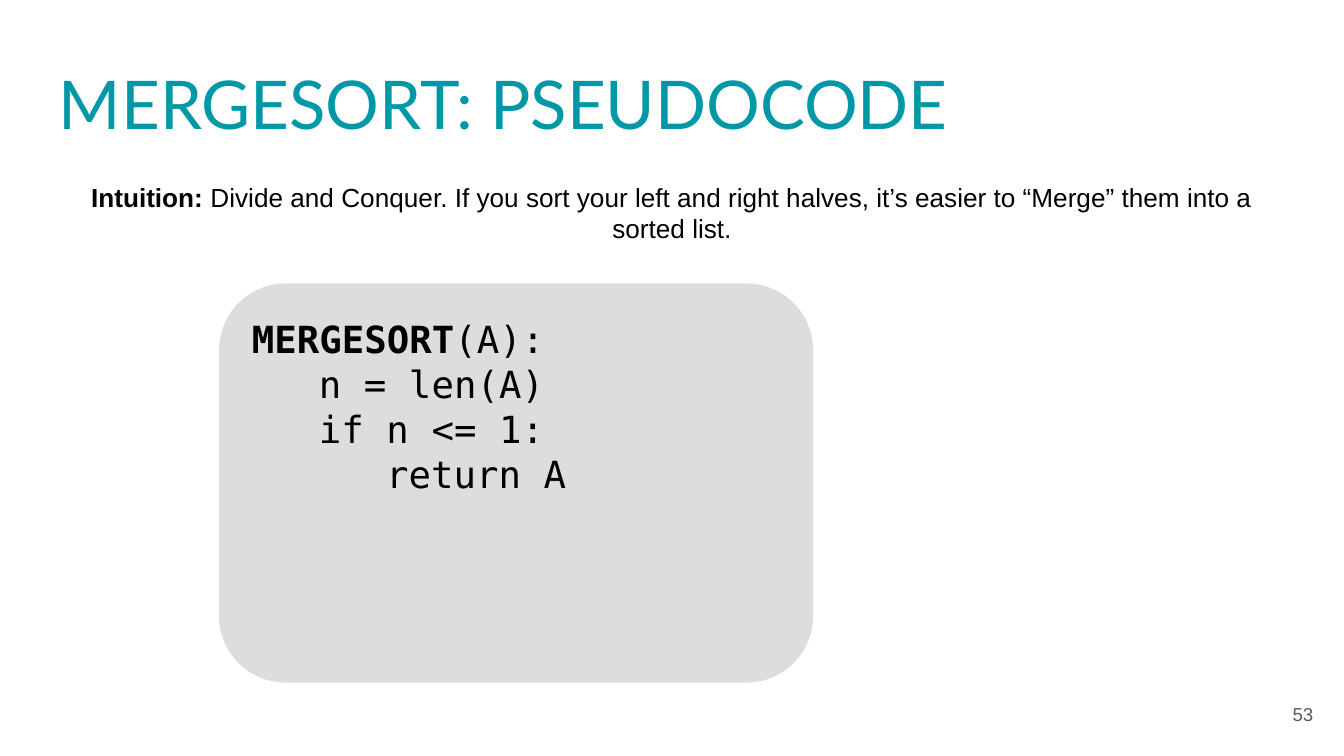
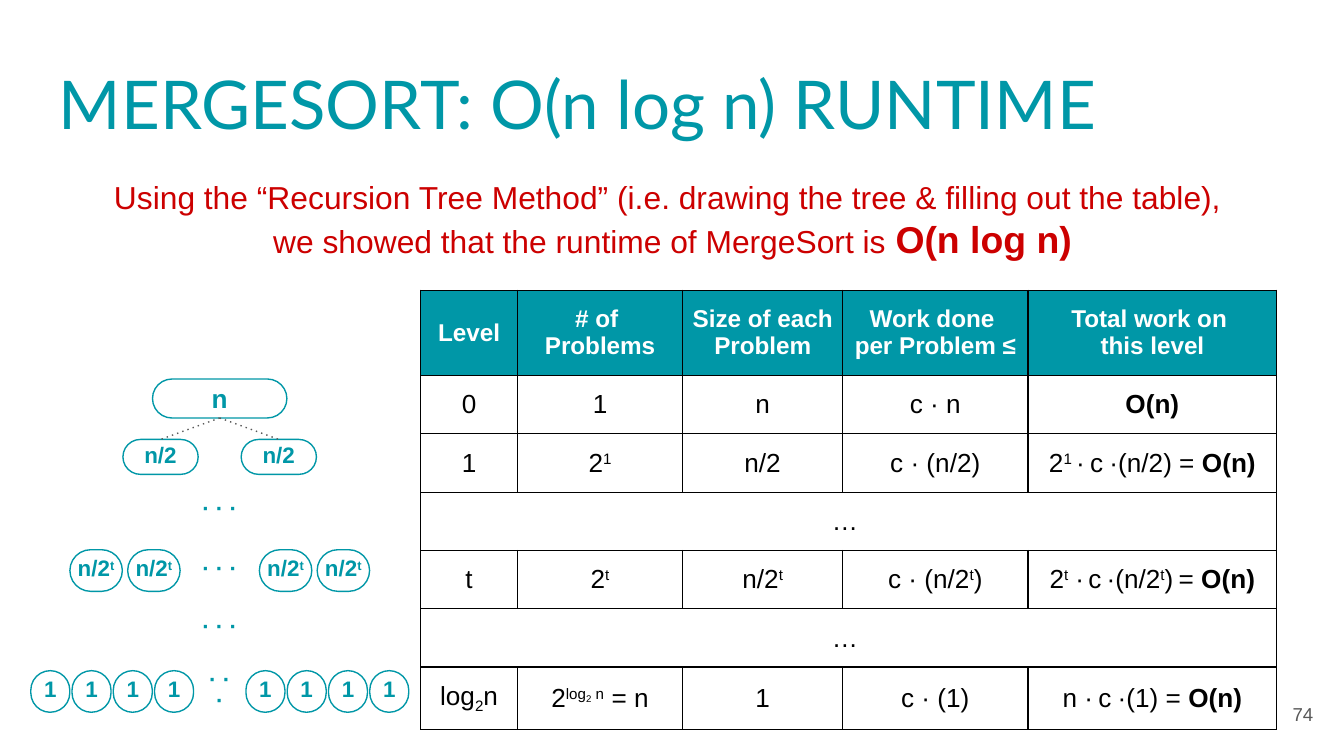
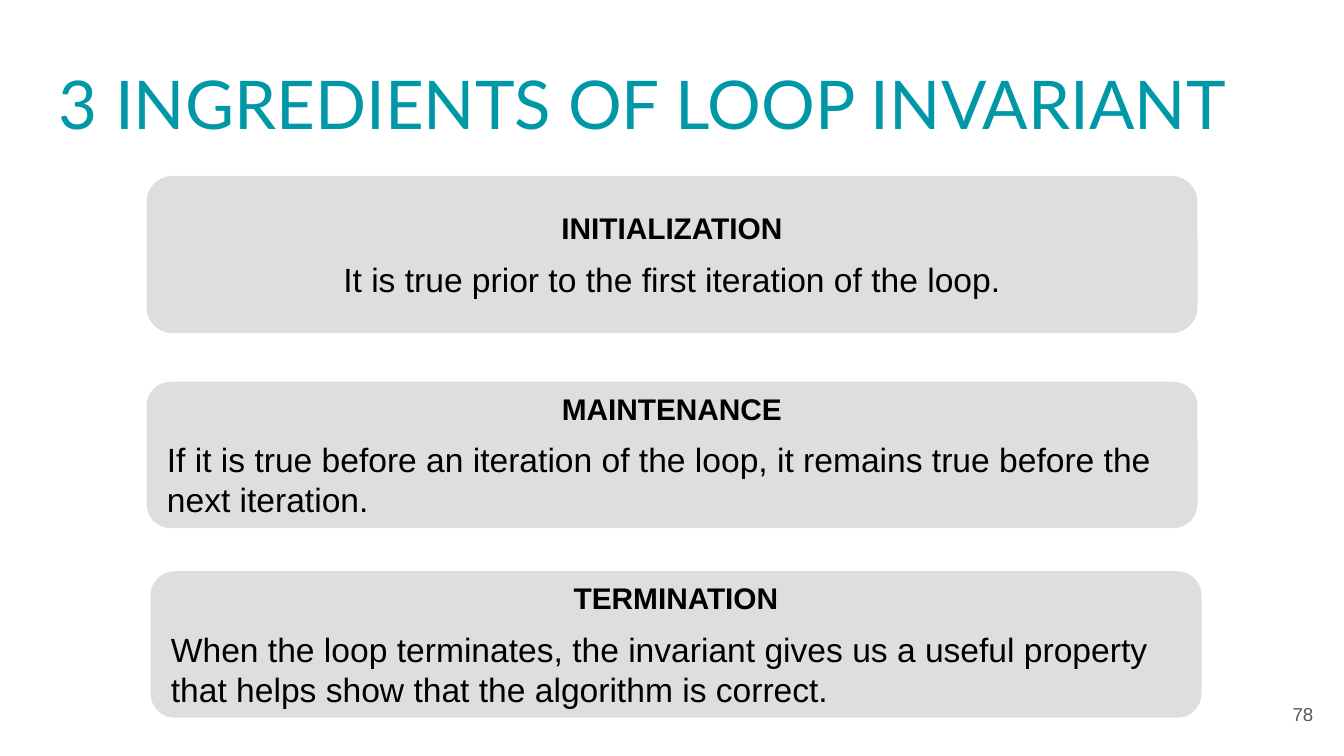
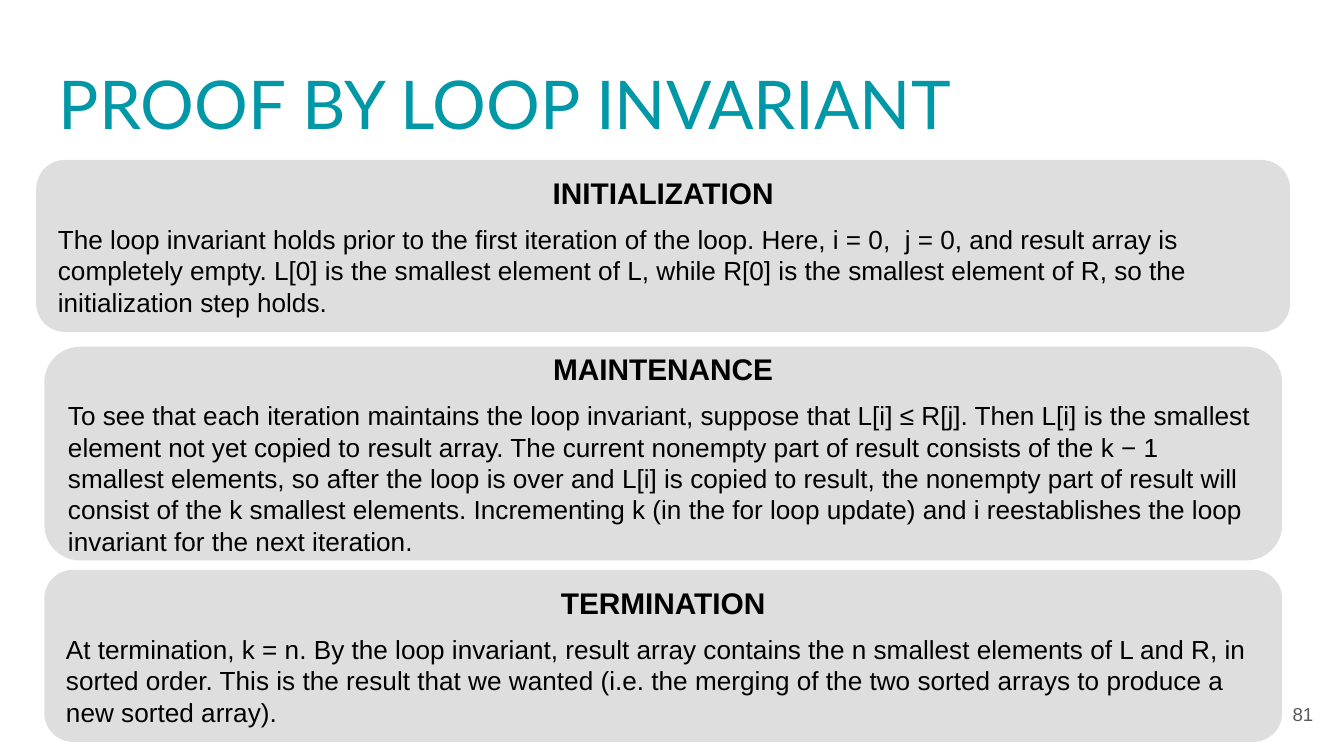
from lxml import etree
from pptx import Presentation
from pptx.dml.color import RGBColor
from pptx.enum.shapes import MSO_CONNECTOR, MSO_SHAPE
from pptx.enum.text import MSO_ANCHOR as ANCHOR, PP_ALIGN as ALIGN
from pptx.oxml.ns import qn
from pptx.util import Inches, Pt

TEAL, RED, BLACK, WHITE, GRAY = "0097A7", "CC0000", "000000", "FFFFFF", "595959"
PANEL = "DEDEDE"
BODY, HEADING, CODE = "Arial", "Lato", "DejaVu Sans Mono"
TITLE_BOX = (0.34, 0.41, 9.32, 0.71)
NUMBER_BOX = (9.27, 5.1, 0.6, 0.43)

SUB_2 = ("2", {"base": -25})
GAP = (" ", {"size": 10})
WIDE_GAP = (" ", {"size": 12})
LINEAR = ("O(n)", {"bold": True})


def sup(text, **style):
    """Return a superscript run."""
    return text, {"base": 30, **style}


HEADER = ["Level", "# of \nProblems", "Size of each Problem",
          "Work done \nper Problem ≤", "Total work on \nthis level"]
LEVELS = [
    [["0"], ["1"], ["n"], ["c · n"], [LINEAR]],
    [["1"], ["2", sup("1")], ["n/2"], ["c · (n/2)"],
     ["2", sup("1 "), "·", GAP, "c", WIDE_GAP, "·(n/2) = ", LINEAR]],
    [["… "]],
    [["t"], ["2", sup("t")], ["n/2", sup("t")], ["c · (n/2", sup("t"), ")"],
     ["2", sup("t "), sup(" ", size=9), "·", (" ", {"size": 8}), "c", GAP, "·(n/2",
      sup("t"), ")", GAP, "= ", LINEAR]],
    [["… "]],
    [["log", SUB_2, "n"], ["2", sup("log"), sup("2", size=9), sup(" n"), " = n"],
     ["1"], ["c · (1)"], ["n ·", GAP, "c", WIDE_GAP, "·(1) = ", LINEAR]],
]

INGREDIENTS = [
    ((1.09, 1.31, 7.82, 1.17), "INITIALIZATION", ALIGN.CENTER,
     "It is true prior to the first iteration of the loop."),
    ((1.09, 2.84, 7.82, 1.09), "MAINTENANCE", ALIGN.LEFT,
     "If it is true before an iteration of the loop, it remains true before the next "
     "iteration."),
    ((1.12, 4.25, 7.82, 1.09), "TERMINATION", ALIGN.LEFT,
     "When the loop terminates, the invariant gives us a useful property that helps show "
     "that the algorithm is correct."),
]
PROOF = [
    ((0.27, 1.19, 9.33, 1.28), "INITIALIZATION", ALIGN.LEFT,
     "The loop invariant holds prior to the first iteration of the loop. Here, i = 0,  j = 0, "
     "and result array is completely empty. L[0] is the smallest element of L, while R[0] is "
     "the smallest element of R, so the initialization step holds."),
    ((0.33, 2.58, 9.21, 1.59), "MAINTENANCE", ALIGN.LEFT,
     "To see that each iteration maintains the loop invariant, suppose that L[i] ≤ R[j]. Then "
     "L[i] is the smallest element not yet copied to result array. The current nonempty part "
     "of result consists of the k − 1 smallest elements, so after the loop is over and L[i] is "
     "copied to result, the nonempty part of result will consist of the k smallest elements. "
     "Incrementing k (in the for loop update) and i reestablishes the loop invariant for the "
     "next iteration."),
    ((0.33, 4.24, 9.21, 1.28), "TERMINATION", ALIGN.LEFT,
     "At termination, k = n. By the loop invariant, result array contains the n smallest "
     "elements of L and R, in sorted order. This is the result that we wanted (i.e. the merging "
     "of the two sorted arrays to produce a new sorted array)."),
]


def rgb(value):
    """Turn a hex string into a colour."""
    return RGBColor.from_string(value)


def inches(box):
    """Turn a box of numbers into lengths."""
    return [Inches(v) for v in box]


def add_break(p, size):
    """Add a line break of the given text size."""
    br = etree.SubElement(p._p, qn("a:br"))
    etree.SubElement(br, qn("a:rPr"), sz=str(size * 100))


def add_para(tf, runs, size, color=BLACK, font=BODY, bold=False, align=ALIGN.CENTER):
    """Write a paragraph run by run, filling the first one if it is still empty."""
    p = tf.paragraphs[0]
    if p.runs:
        p = tf.add_paragraph()
    p.alignment = align
    for run in runs:
        text, style = (run, {}) if isinstance(run, str) else run
        for i, line in enumerate(text.split("\n")):
            if i:
                add_break(p, size)
            r = p.add_run()
            r.text = line
            r.font.name = font
            r.font.size = Pt(style.get("size", size))
            r.font.bold = style.get("bold", bold)
            r.font.color.rgb = rgb(color)
            if "base" in style:
                r.font._element.set("baseline", str(style["base"] * 1000))
    return p


def frame(sp, margins=(0.1, 0.1, 0.1, 0.1), anchor=ANCHOR.MIDDLE):
    """Set wrapping, insets and anchor of a shape's text."""
    tf = sp.text_frame
    tf.word_wrap = True
    tf.margin_left, tf.margin_top, tf.margin_right, tf.margin_bottom = inches(margins)
    tf.vertical_anchor = anchor
    return tf


def add_text(s, box, **layout):
    """Add a text box and return its frame."""
    return frame(s.shapes.add_textbox(*inches(box)), **layout)


def add_round(s, box, fill=None, line=None, adj=0.167):
    """Add a rounded rectangle."""
    sp = s.shapes.add_shape(MSO_SHAPE.ROUNDED_RECTANGLE, *inches(box))
    sp.shadow.inherit = False
    sp.adjustments[0] = adj
    if fill:
        sp.fill.solid()
        sp.fill.fore_color.rgb = rgb(fill)
    else:
        sp.fill.background()
    if line:
        sp.line.color.rgb = rgb(line)
        sp.line.width = Pt(0.75)
    else:
        sp.line.fill.background()
    return sp


def add_slide(prs, title, number):
    """Add a slide with its title and number."""
    s = prs.slides.add_slide(prs.slide_layouts[6])
    sp = s.shapes.add_textbox(*inches(TITLE_BOX))
    sp.line.color.rgb = rgb(WHITE)
    sp.line.width = Pt(2.25)
    add_para(frame(sp), [title], 36, TEAL, HEADING, align=ALIGN.LEFT)
    add_para(add_text(s, NUMBER_BOX), [str(number)], 10, GRAY, align=ALIGN.RIGHT)
    return s


def add_code(s, box, lines):
    """Add a code panel whose lines are pairs of indent level and runs."""
    tf = frame(add_round(s, box, "DDDDDD"), anchor=ANCHOR.TOP)
    for level, runs in lines:
        p = add_para(tf, runs, 20, font=CODE, align=ALIGN.LEFT)
        p._p.get_or_add_pPr().set("marL", str(Inches(0.5 * level)))


def add_node(s, box, runs, size=12, line=TEAL, spacing=0.8):
    """Add a tree node, or an ellipsis if it has no line."""
    sp = add_round(s, box, WHITE if line else None, line, 0.5)
    p = add_para(frame(sp, (0, 0.1, 0, 0.1)), runs, size, TEAL, bold=True)
    p.line_spacing = spacing


def add_branch(s, start, end):
    """Add a dotted line between two nodes."""
    c = s.shapes.add_connector(MSO_CONNECTOR.STRAIGHT, *inches(start + end))
    c.line.color.rgb = rgb(GRAY)
    c.line.width = Pt(0.75)
    etree.SubElement(c._element.spPr.find(qn("a:ln")), qn("a:prstDash"), val="dot")
    etree.SubElement(c._element.spPr, qn("a:effectLst"))


def add_tree(s, box):
    """Draw the recursion tree, symmetric about the middle of its box."""
    x, y, w, _ = box
    cx = x + w / 2
    add_node(s, (cx - 0.5, y, 1, 0.29), ["n"], 14, spacing=1.0)
    rows = [(0.45, 0.56, 0.26, ["n/2"], [0.44]),
            (1.27, 0.39, 0.31, ["n/2", sup("t")], [0.49, 0.92]),
            (2.17, 0.29, 0.31, ["1"], [0.34 + 0.307 * i for i in range(4)])]
    for top, width, height, runs, offsets in rows:
        for dx in [-d for d in reversed(offsets)] + offsets:
            add_node(s, (cx + dx - width / 2, y + top, width, height), runs)
    for dx in (-0.44, 0.44):
        add_branch(s, (cx, y + 0.29), (cx + dx, y + 0.45))
    for top, width in [(0.82, 0.36), (1.27, 0.39), (1.7, 0.36), (2.17, 0.29)]:
        add_node(s, (cx - width / 2, y + top, width, 0.31), ["· · ·"], line=None)


def style_cell(cell, side, fill=None):
    """Set a cell's insets, thin black borders and fill."""
    cell.margin_left = cell.margin_right = Inches(side)
    cell.margin_top = cell.margin_bottom = Inches(0.1)
    cell.vertical_anchor = ANCHOR.MIDDLE
    tcPr = cell._tc.get_or_add_tcPr()
    for edge in ("a:lnL", "a:lnR", "a:lnT", "a:lnB"):
        ln = etree.SubElement(tcPr, qn(edge), w=str(Pt(0.75)))
        solid = etree.SubElement(ln, qn("a:solidFill"))
        etree.SubElement(solid, qn("a:srgbClr"), val=BLACK)
    if fill:
        cell.fill.solid()
        cell.fill.fore_color.rgb = rgb(fill)
    else:
        cell.fill.background()


def add_levels(s, box):
    """Add the table of work per level, whose rows grow to fit their text."""
    widths = [0.72, 1.23, 1.19, 1.38, 1.85]
    heights = [0.45] + [0] * len(LEVELS)
    gf = s.shapes.add_table(len(heights), len(widths), *inches(box))
    table = gf.table
    table.first_row = table.horz_banding = False
    for col, width in zip(table.columns, widths):
        col.width = Inches(width)
    for row, height in zip(table.rows, heights):
        row.height = Inches(height)
    gf.height = Inches(box[3])
    for i, label in enumerate(HEADER):
        cell = table.cell(0, i)
        style_cell(cell, 0, TEAL)
        add_para(cell.text_frame, [label], 13, WHITE, bold=True)
    for i, level in enumerate(LEVELS, 1):
        for j in range(len(widths)):
            style_cell(table.cell(i, j), 0.1)
        if len(level) == 1:
            table.cell(i, 0).merge(table.cell(i, len(widths) - 1))
        for j, runs in enumerate(level):
            add_para(table.cell(i, j).text_frame, runs, 14)


def add_panel(s, box, heading, align, text, size):
    """Add a gray panel with a heading above its text."""
    tf = frame(add_round(s, box, PANEL))
    add_para(tf, [heading], 16, bold=True).space_after = Pt(7)
    add_para(tf, [text], size, align=align)


def pseudocode_slide(prs):
    """Build the pseudocode slide."""
    s = add_slide(prs, "MERGESORT: PSEUDOCODE", 53)
    tf = add_text(s, (0.34, 1.43, 9.32, 0.53), margins=(0.1, 0.1, 0.1, 0.33))
    add_para(tf, [("Intuition: ", {"bold": True}),
                  "Divide and Conquer. If you sort your left and right halves, it’s easier to "
                  "“Merge” them into a sorted list."], 14)
    add_code(s, (1.63, 2.11, 4.42, 2.97),
             [(0, [("MERGESORT", {"bold": True}), "(A):"]), (1, ["n = len(A)"]),
              (1, ["if n <= 1:"]), (2, ["return A"])])


def runtime_slide(prs):
    """Build the slide with the recursion tree and its table."""
    s = add_slide(prs, "MERGESORT: O(n log n) RUNTIME", 74)
    tf = add_text(s, (0.29, 1.18, 9.43, 0.9))
    add_para(tf, ["Using the “Recursion Tree Method” (i.e. drawing the tree & filling out "
                  "the table), \nwe showed that the runtime of MergeSort is ",
                  ("O(n log n)", {"size": 20, "bold": True})], 17, RED)
    add_tree(s, (0.23, 2.82, 2.81, 2.48))
    add_levels(s, (3.13, 2.16, 6.37, 3.23))


def invariant_slide(prs, title, number, panels, size):
    """Build a slide of three loop invariant panels."""
    s = add_slide(prs, title, number)
    for box, heading, align, text in panels:
        add_panel(s, box, heading, align, text, size)


def main():
    """Build and save the slides."""
    prs = Presentation()
    prs.slide_width, prs.slide_height = Inches(10), Inches(10 * 9 / 16)
    pseudocode_slide(prs)
    runtime_slide(prs)
    invariant_slide(prs, "3 INGREDIENTS OF LOOP INVARIANT", 78, INGREDIENTS, 18)
    invariant_slide(prs, "PROOF BY LOOP INVARIANT", 81, PROOF, 14)
    prs.save("out.pptx")


if __name__ == "__main__":
    main()
